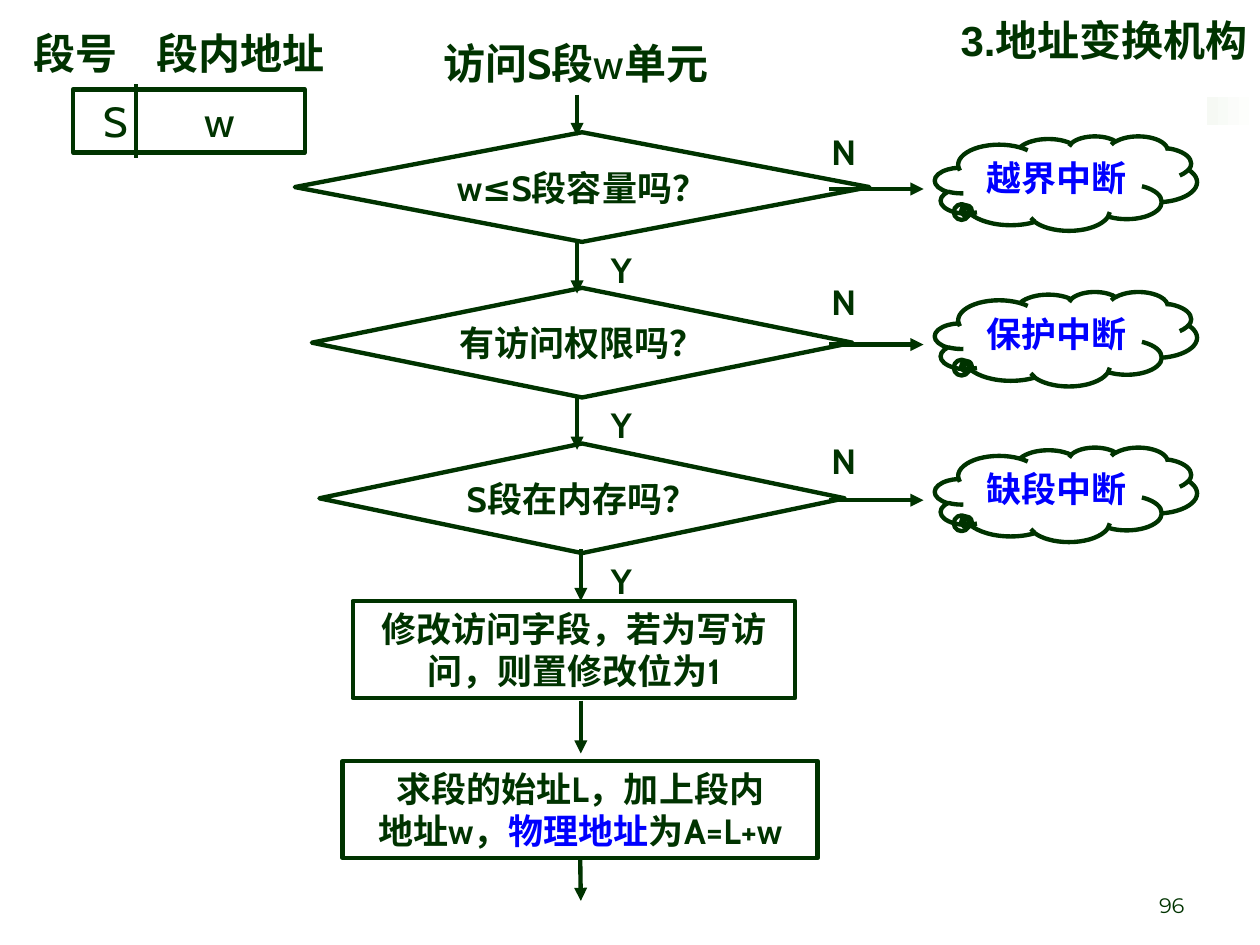
from pptx import Presentation, util as u
from pptx.dml.color import RGBColor
from pptx.enum import shapes, text
from pptx.oxml.ns import qn
from lxml import etree

INK, BLUE, WHITE, PALE = "003300", "0000FF", "FFFFFF", "F6F9F4"
SHAPE = shapes.MSO_SHAPE
CENTER, RIGHT = text.PP_ALIGN.CENTER, text.PP_ALIGN.RIGHT
TOP, MIDDLE, BOTTOM = (text.MSO_ANCHOR.TOP, text.MSO_ANCHOR.MIDDLE,
                       text.MSO_ANCHOR.BOTTOM)


def colour(value):
    return RGBColor.from_string(value)


class FlowPage:
    """Holds the common style and the slide being drawn."""
    line_width = u.Pt(2.5)
    font = {"name": "Cabin", "size": u.Pt(20), "bold": True}

    def __init__(self, page):
        self.page = page

    def fill_text(self, box, paragraphs, align=None, anchor=TOP, tab=None,
                  left=0.1, **changes):
        """Each paragraph is a list of (words, format changes)."""
        frame = box.text_frame
        frame_format = {
            "word_wrap": True, "vertical_anchor": anchor,
            "margin_left": u.Inches(left), "margin_right": u.Inches(0.1),
            "margin_top": u.Inches(0.05), "margin_bottom": u.Inches(0.05)}
        for name, value in frame_format.items():
            setattr(frame, name, value)
        for index, spans in enumerate(paragraphs):
            para = frame.add_paragraph() if index else frame.paragraphs[0]
            if align is not None:
                para.alignment = align
            if tab:
                stops = etree.SubElement(para._p.get_or_add_pPr(), qn("a:tabLst"))
                etree.SubElement(stops, qn("a:tab"), pos=str(u.Inches(tab)), algn="l")
            for words, span_changes in spans:
                span = para.add_run()
                span.text = words
                style = {**self.font, "color": INK, **changes, **span_changes}
                span.font.color.rgb = colour(style.pop("color"))
                for name, value in style.items():
                    setattr(span.font, name, value)

    def label(self, place, spans, **style):
        box = self.page.shapes.add_textbox(*map(u.Inches, place))
        self.fill_text(box, [spans], **style)

    def outline(self, kind, place, paragraphs, align=CENTER, anchor=MIDDLE, **style):
        box = self.page.shapes.add_shape(kind, *map(u.Inches, place))
        box.shadow.inherit = False
        box.fill.background()
        box.line.color.rgb = colour(INK)
        box.line.width = self.line_width
        self.fill_text(box, paragraphs, align=align, anchor=anchor, **style)
        return box

    def fade(self, place, start, end):
        strip = self.page.shapes.add_shape(SHAPE.RECTANGLE, *map(u.Inches, place))
        strip.shadow.inherit = False
        strip.line.fill.background()
        strip.fill.gradient()
        strip.fill.gradient_angle = 0
        for stop, value in zip(strip.fill.gradient_stops, (start, end)):
            stop.color.rgb = colour(value)

    def line(self, x1, y1, x2, y2, arrow=True, source=None):
        link = self.page.shapes.add_connector(
            shapes.MSO_CONNECTOR.STRAIGHT, *map(u.Inches, (x1, y1, x2, y2)))
        if source is not None:
            link.begin_connect(source, 2)
        link.line.color.rgb = colour(INK)
        link.line.width = self.line_width
        if arrow:
            etree.SubElement(link.line._get_or_add_ln(), qn("a:tailEnd"),
                             type="triangle")
        etree.SubElement(link._element.spPr, qn("a:effectLst"))


def main():
    deck = Presentation()
    deck.slide_width, deck.slide_height = u.Inches(10), u.Inches(7.5)
    flow = FlowPage(deck.slides.add_slide(deck.slide_layouts[6]))
    large = u.Pt(24)

    # Title, edge strip and page number
    flow.fade((9.58, 0.77, 0.42, 0.22), PALE, WHITE)
    flow.label((1.5, -0.19, 8.5, 1.01), [("3.地址变换机构", {})],
               align=RIGHT, anchor=MIDDLE, name="Arial", size=large)
    flow.label((7.17, 6.83, 2.33, 0.5), [("96", {})], align=RIGHT, anchor=BOTTOM,
               name="Montserrat", size=u.Pt(12), bold=False)

    # Logical address: segment number and offset
    flow.outline(SHAPE.RECTANGLE, (0.58, 0.71, 1.84, 0.5), [[("S\tw", {})]],
                 align=text.PP_ALIGN.LEFT, left=0.24, tab=0.8,
                 size=large, bold=False)
    flow.line(1.08, 0.67, 1.08, 1.25, arrow=False)
    flow.label((0.17, 0.17, 2.92, 0.5), [("段号\t段内地址", {})],
               tab=0.97, size=large)

    # Entry
    flow.line(4.58, 0.75, 4.58, 1.08)
    flow.label((3.42, 0.25, 2.33, 0.9),
               [("访问S段", {}), ("w", {"bold": False}), ("单元", {})], size=large)

    # Three checks, each with an interrupt on failure
    checks = [("w≤S段容量吗？", 4.56, 0.99, "越界中断"),
              ("有访问权限吗？", 4.29, 2.18, "保护中断"),
              ("S段在内存吗？", 4.17, 3.44, "缺段中断")]
    for row, (question, width, no_top, interrupt) in enumerate(checks):
        top = 1.05 + 1.235 * row
        flow.outline(SHAPE.FLOWCHART_DECISION, (4.62 - width / 2, top, width, 0.87),
                     [[(question, {})]])
        flow.line(6.58, top + 0.45, 7.33, top + 0.45)
        flow.label((6.5, no_top, 0.75, 0.44), [("N", {})])
        cloud = flow.outline(SHAPE.CLOUD_CALLOUT, (7.42, top + 0.03, 2.08, 0.75),
                             [[(interrupt, {})]], anchor=TOP, color=BLUE)
        cloud.adjustments[0], cloud.adjustments[1] = -0.38, 0.29
        flow.label((4.75, top + 0.87, 0.5, 0.44), [("Y", {})])

    # Arrows down the main path
    for x, start, end in [(4.58, 1.92, 2.33), (4.58, 3.15, 3.57),
                          (4.61, 4.36, 4.77), (4.61, 5.56, 5.98)]:
        flow.line(x, start, x, end)

    # Final steps
    flow.outline(SHAPE.RECTANGLE, (2.8, 4.77, 3.51, 0.77),
                 [[("修改访问字段，若为写访问，则置修改位为1", {})]])
    result = flow.outline(
        SHAPE.RECTANGLE, (2.72, 6.04, 3.77, 0.77),
        [[("求段的始址L，加上段内", {})],
         [("地址w，", {}), ("物理地址", {"color": BLUE}), ("为A=L+w", {})]])
    flow.line(4.61, 6.81, 4.61, 7.15, source=result)

    deck.save("out.pptx")


if __name__ == "__main__":
    main()
